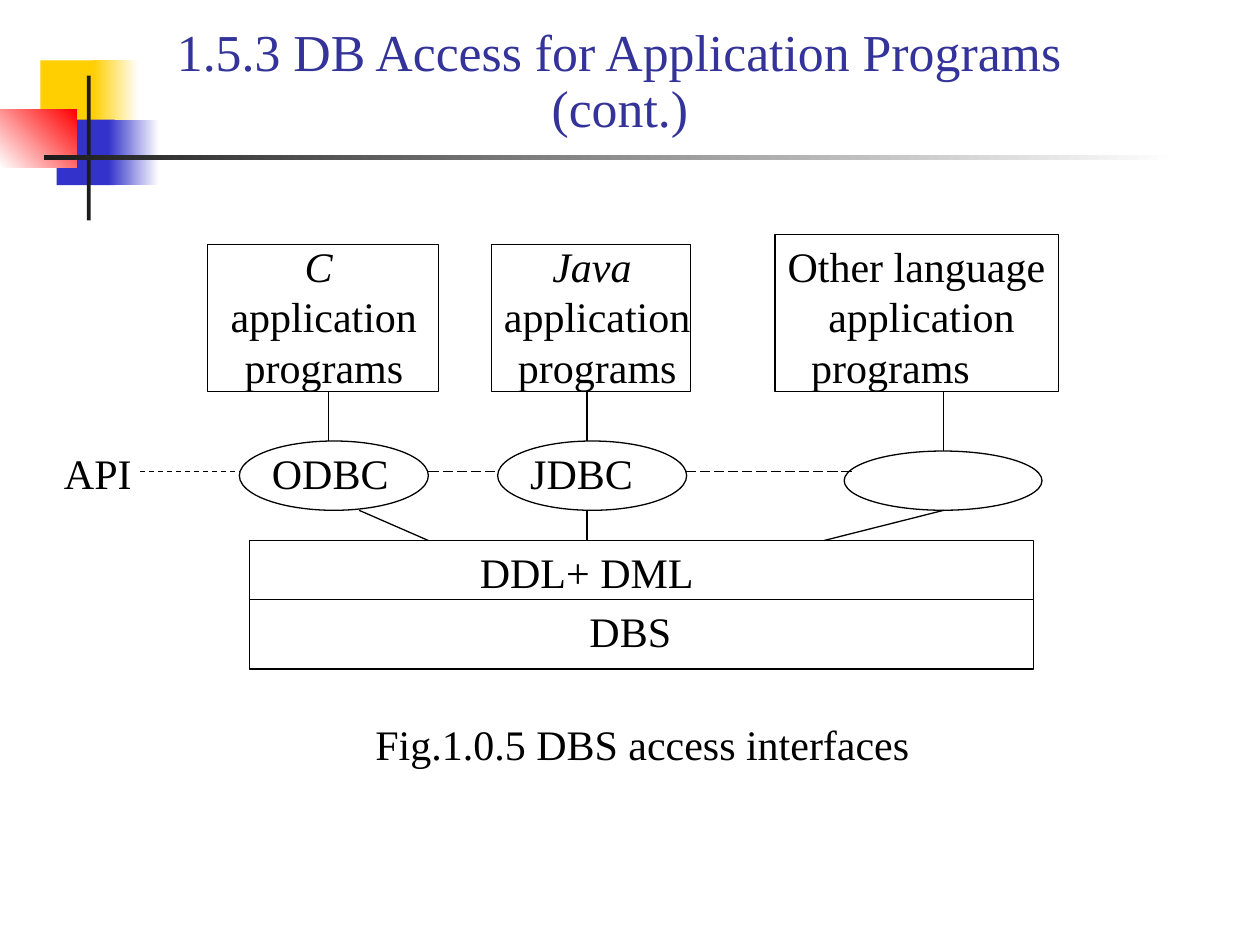
"""Draw the slide on database access interfaces for application programs."""
from typing import NamedTuple

from lxml.etree import SubElement
from pptx import Presentation
from pptx.dml.color import RGBColor
from pptx.enum.dml import MSO_LINE as Dash
from pptx.enum.shapes import MSO_CONNECTOR as Conn, MSO_SHAPE as Kind
from pptx.enum.text import MSO_ANCHOR as Anchor, MSO_AUTO_SIZE as Fit, PP_ALIGN as Align
from pptx.oxml.ns import qn
from pptx.util import Inches, Pt

FONT = "Times New Roman"
INK, NAVY, WHITE = "000000", "333399", "FFFFFF"
GOLD, BLUE, RED, DARK = "FFCF01", "3333CC", "FF0000", "1C1C1C"


class Area(NamedTuple):
    left: float
    top: float
    width: float
    height: float


class Patch(NamedTuple):
    area: Area
    start: str
    end: str = ""
    angle: int = 0


class Wire(NamedTuple):
    x1: float
    y1: float
    x2: float
    y2: float
    dash: Dash | None = None


class Label(NamedTuple):
    text: str
    area: Area


class Client(NamedTuple):
    frame: Area
    label: Area
    name: str
    italic: bool = True
    shift: float | None = None


PATCHES = [
    Patch(Area(0.32, 0.48, 0.48, 0.52), GOLD),
    Patch(Area(0.74, 0.48, 0.36, 0.52), GOLD, WHITE),
    Patch(Area(0.45, 0.95, 0.46, 0.52), BLUE),
    Patch(Area(0.86, 0.95, 0.4, 0.52), BLUE, WHITE),
    Patch(Area(0, 0.87, 0.61, 0.46), WHITE, RED, 45),
    Patch(Area(0.69, 0.6, 0.03, 1.15), DARK),
    Patch(Area(0.35, 1.23, 9, 0.04), DARK, WHITE),
]
CLIENTS = [
    Client(Area(1.65, 1.94, 1.83, 1.17), Area(1.73, 1.86, 1.68, 1.3), "C "),
    Client(Area(3.9, 1.94, 1.58, 1.17), Area(3.9, 1.86, 1.68, 1.3), "Java "),
    Client(Area(6.15, 1.86, 2.25, 1.25), Area(6.15, 1.86, 2.33, 1.3),
           "Other language ", False, 0.19),
]
OVALS = [
    Area(1.9, 3.5, 1.5, 0.55),
    Area(3.95, 3.5, 1.5, 0.55),
    Area(6.7, 3.58, 1.57, 0.47),
]
STORE = Area(1.98, 4.29, 6.22, 1.02)
WIRES = [
    Wire(2.61, 3.11, 2.61, 3.5),
    Wire(4.66, 3.11, 4.66, 3.5),
    Wire(7.49, 3.11, 7.49, 3.58),
    Wire(1.98, 4.76, 8.2, 4.76),
    Wire(2.85, 4.05, 3.4, 4.29),
    Wire(4.66, 4.05, 4.66, 4.29),
    Wire(7.49, 4.05, 6.54, 4.29),
    Wire(1.11, 3.74, 1.9, 3.74, Dash.DASH),
    Wire(3.4, 3.74, 3.95, 3.74, Dash.LONG_DASH),
    Wire(5.44, 3.74, 6.78, 3.74, Dash.LONG_DASH),
]
LABELS = [
    Label("API", Area(0.41, 3.5, 0.77, 0.5)),
    Label("ODBC", Area(2.06, 3.5, 1.16, 0.5)),
    Label("JDBC", Area(4.11, 3.5, 1.05, 0.5)),
    Label("DDL+ DML", Area(3.71, 4.29, 1.93, 0.5)),
    Label("DBS", Area(4.58, 4.76, 0.89, 0.5)),
    Label("Fig.1.0.5 DBS access interfaces", Area(2.88, 5.65, 4.48, 0.5)),
]


def paint(color, code: str) -> None:
    color.rgb = RGBColor.from_string(code)


def place(area: Area) -> list[int]:
    return [Inches(size) for size in area]


def write(frame, text: str, *, size: float = 24, color: str = INK,
          align: Align = Align.LEFT, space: float | None = None,
          wrap: bool = True, fit: Fit = Fit.SHAPE_TO_FIT_TEXT) -> None:
    frame.text = text
    frame.word_wrap = wrap
    frame.auto_size = fit
    for para in frame.paragraphs:
        para.alignment = align
        para.line_spacing = space
        for run in para.runs:
            run.font.name = FONT
            run.font.size = Pt(size)
            paint(run.font.color, color)


def add_patch(slide, patch: Patch) -> None:
    shape = slide.shapes.add_shape(Kind.RECTANGLE, *place(patch.area))
    shape.shadow.inherit = False
    shape.line.fill.background()
    if patch.end:
        shape.fill.gradient()
        shape.fill.gradient_angle = patch.angle
        for stop, code in zip(shape.fill.gradient_stops, (patch.start, patch.end)):
            paint(stop.color, code)
    else:
        shape.fill.solid()
        paint(shape.fill.fore_color, patch.start)


def add_frame(slide, kind: Kind, area: Area) -> None:
    shape = slide.shapes.add_shape(kind, *place(area))
    shape.shadow.inherit = False
    shape.fill.background()
    paint(shape.line.color, INK)
    shape.line.width = Pt(0.75)


def add_wire(slide, wire: Wire) -> None:
    line = slide.shapes.add_connector(Conn.STRAIGHT, *map(Inches, wire[:4]))
    SubElement(line._element.spPr, qn("a:effectLst"))
    paint(line.line.color, INK)
    line.line.width = Pt(0.75)
    if wire.dash:
        line.line.dash_style = wire.dash


def add_label(slide, label: Label, **style):
    frame = slide.shapes.add_textbox(*place(label.area)).text_frame
    write(frame, label.text, **style)
    return frame


def add_client(slide, client: Client) -> None:
    add_frame(slide, Kind.RECTANGLE, client.frame)
    text = f"{client.name}\napplication\nprograms"
    frame = add_label(slide, Label(text, client.label), align=Align.CENTER,
                      wrap=client.shift is not None)
    first, *_, last = frame.paragraphs
    first.runs[0].font.italic = client.italic
    if client.shift is not None:
        last.alignment = Align.LEFT
        last._p.get_or_add_pPr().set("marL", str(Inches(client.shift)))


def add_title(slide) -> None:
    title = slide.shapes.title
    title.left, title.top, title.width, title.height = place(Area(0.67, 0, 8.5, 1.15))
    title.text_frame.vertical_anchor = Anchor.BOTTOM
    write(title.text_frame, "1.5.3 DB Access for Application Programs\n(cont.)",
          size=29.6, color=NAVY, align=Align.CENTER, space=0.9, fit=Fit.NONE)


def main() -> None:
    deck = Presentation()
    deck.slide_width, deck.slide_height = Inches(10), Inches(7.5)
    slide = deck.slides.add_slide(deck.slide_layouts[5])
    add_title(slide)
    for patch in PATCHES:
        add_patch(slide, patch)
    for client in CLIENTS:
        add_client(slide, client)
    for oval in OVALS:
        add_frame(slide, Kind.OVAL, oval)
    add_frame(slide, Kind.RECTANGLE, STORE)
    for wire in WIRES:
        add_wire(slide, wire)
    for label in LABELS:
        add_label(slide, label)
    deck.save("out.pptx")


if __name__ == "__main__":
    main()
